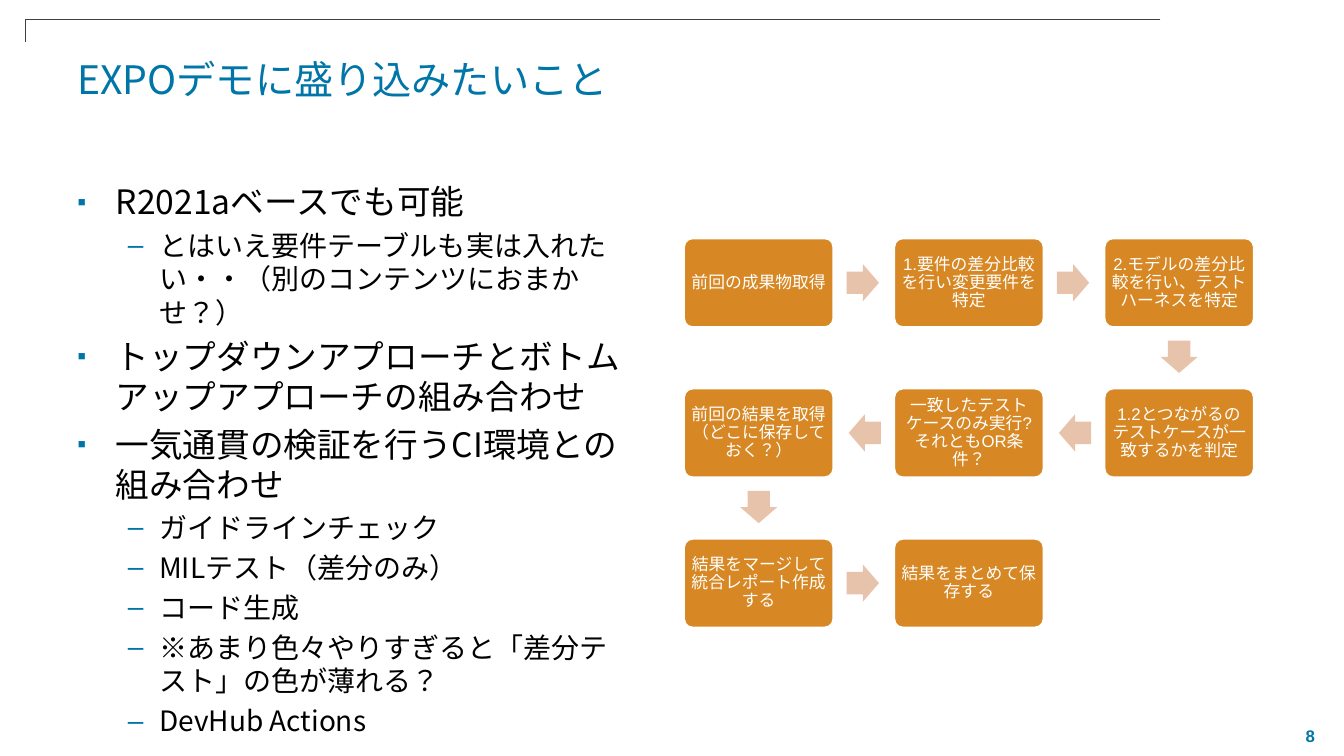
"""Build the slide on what the EXPO demo should contain."""
import lxml.etree
import pptx
import pptx.dml.color
import pptx.enum.lang
import pptx.enum.shapes
import pptx.enum.text
import pptx.oxml.ns
import pptx.util

BLUE = pptx.dml.color.RGBColor(0x00, 0x76, 0xA8)
ORANGE = pptx.dml.color.RGBColor(0xD7, 0x88, 0x24)
PEACH = pptx.dml.color.RGBColor(0xE8, 0xC3, 0xAC)
WHITE = pptx.dml.color.RGBColor(0xFF, 0xFF, 0xFF)
BLACK = pptx.dml.color.RGBColor(0x00, 0x00, 0x00)
GRAY = pptx.dml.color.RGBColor(0x40, 0x40, 0x40)

SANS = "Noto Sans CJK JP"
ARIAL = "Arial"
TITLE = "EXPOデモに盛り込みたいこと"
PAGE_NUMBER = "8"
BULLETS = [
    (0, "R2021aベースでも可能"),
    (1, "とはいえ要件テーブルも実は入れたい・・（別のコンテンツにおまかせ？）"),
    (0, "トップダウンアプローチとボトムアップアプローチの組み合わせ"),
    (0, "一気通貫の検証を行うCI環境との組み合わせ"),
    (1, "ガイドラインチェック"),
    (1, "MILテスト（差分のみ）"),
    (1, "コード生成"),
    (1, "※あまり色々やりすぎると「差分テスト」の色が薄れる？"),
    (1, "DevHub Actions"),
]
LEVELS = [
    {"size": 24, "before": 5, "margin": 38, "hang": 38, "mark": "▪", "mark_size": 75},
    {"size": 20, "before": 4.5, "margin": 81, "hang": 31, "mark": "–", "mark_size": 100},
]
STEPS = [
    "前回の成果物取得",
    "1.要件の差分比較を行い変更要件を特定",
    "2.モデルの差分比較を行い、テストハーネスを特定",
    "1.2とつながるのテストケースが一致するかを判定",
    "一致したテストケースのみ実行?それともOR条件？",
    "前回の結果を取得（どこに保存しておく？）",
    "結果をマージして統合レポート作成する",
    "結果をまとめて保存する",
]

PX = 9144
SLIDE_SIZE = (1333, 750)
TITLE_BOX = (67, 50, 1178, 108)
BODY_BOX = (67, 175, 567, 508)
PAGE_BOX = (1266, 709, 67, 42)
CORNER_LINE = [(1151, 19), (25, 19), (25, 42)]
FLOW_LEFT, FLOW_TOP, FLOW_SPAN = 678, 236, 417
COLUMNS = 3
COLUMN_PITCH, ROW_PITCH = FLOW_SPAN / (COLUMNS - 1), 149
STEP_WIDTH, STEP_HEIGHT, STEP_INSET = 149, 89, 5
ARROW_WIDTH, ARROW_HEIGHT = 32, 37
ROTATIONS = {(1, 0): 0, (0, 1): 90, (-1, 0): 180}


def emu(*lengths):
    return [round(length * PX) for length in lengths]


def apply(target, values):
    for name, value in values.items():
        setattr(target, name, value)


def write(paragraph, text, size, font_name, color, bold=False, **formats):
    run = paragraph.add_run()
    run.text = text
    apply(run.font, {"size": pptx.util.Pt(size), "name": font_name, "bold": bold,
                     "language_id": pptx.enum.lang.MSO_LANGUAGE_ID.JAPANESE})
    run.font.color.rgb = color
    east_asian = lxml.etree.SubElement(run.font._element, pptx.oxml.ns.qn("a:ea"))
    east_asian.set("typeface", font_name)
    apply(paragraph, formats)


def add_text_frame(slide, box, **formats):
    frame = slide.shapes.add_textbox(*emu(*box)).text_frame
    apply(frame, {"word_wrap": True, **formats})
    return frame


def add_bullet(paragraph, level):
    properties = paragraph._p.get_or_add_pPr()
    margin, hang = emu(level["margin"], level["hang"])
    properties.set("marL", str(margin))
    properties.set("indent", str(-hang))
    color = lxml.etree.SubElement(properties, pptx.oxml.ns.qn("a:buClr"))
    for parent, tag, key, value in (
        (color, "a:srgbClr", "val", str(BLUE)),
        (properties, "a:buSzPct", "val", str(level["mark_size"] * 1000)),
        (properties, "a:buFont", "typeface", ARIAL),
        (properties, "a:buChar", "char", level["mark"]),
    ):
        lxml.etree.SubElement(parent, pptx.oxml.ns.qn(tag)).set(key, value)


def add_filled(slide, kind, box, color, adjustments):
    shape = slide.shapes.add_shape(kind, *emu(*box))
    shape.shadow.inherit = False
    shape.fill.solid()
    shape.fill.fore_color.rgb = color
    shape.line.fill.background()
    for index, value in enumerate(adjustments):
        shape.adjustments[index] = value
    return shape


def add_step(slide, text, column, row):
    box = (FLOW_LEFT + column * COLUMN_PITCH, FLOW_TOP + row * ROW_PITCH, STEP_WIDTH, STEP_HEIGHT)
    shape = add_filled(slide, pptx.enum.shapes.MSO_SHAPE.ROUNDED_RECTANGLE, box, ORANGE, [0.1])
    shape.line.color.rgb = WHITE
    shape.line.width = pptx.util.Pt(2)
    sides = ("margin_left", "margin_top", "margin_right", "margin_bottom")
    apply(shape.text_frame, dict.fromkeys(sides, STEP_INSET * PX))
    apply(shape.text_frame, {"word_wrap": True, "vertical_anchor": pptx.enum.text.MSO_ANCHOR.MIDDLE})
    write(shape.text_frame.paragraphs[0], text, 12, ARIAL, WHITE,
          alignment=pptx.enum.text.PP_ALIGN.CENTER, line_spacing=0.9)


def add_arrow(slide, start, end):
    direction = (end[0] - start[0], end[1] - start[1])
    center_x = FLOW_LEFT + STEP_WIDTH / 2 + (start[0] + end[0]) / 2 * COLUMN_PITCH - direction[0]
    center_y = FLOW_TOP + STEP_HEIGHT / 2 + (start[1] + end[1]) / 2 * ROW_PITCH - direction[1]
    box = (center_x - ARROW_WIDTH / 2, center_y - ARROW_HEIGHT / 2, ARROW_WIDTH, ARROW_HEIGHT)
    arrow = add_filled(slide, pptx.enum.shapes.MSO_SHAPE.RIGHT_ARROW, box, PEACH, [0.6, 0.5])
    arrow.rotation = ROTATIONS[direction]


def add_corner_line(slide):
    builder = slide.shapes.build_freeform(*CORNER_LINE[0], scale=PX)
    builder.add_line_segments(CORNER_LINE[1:], close=False)
    corner = builder.convert_to_shape()
    corner.shadow.inherit = False
    corner.fill.background()
    corner.line.color.rgb = GRAY
    corner.line.width = pptx.util.Pt(0.5)


def main():
    presentation = pptx.Presentation()
    width, height = emu(*SLIDE_SIZE)
    apply(presentation, {"slide_width": width, "slide_height": height})
    slide = presentation.slides.add_slide(presentation.slide_layouts[6])

    add_corner_line(slide)
    page = add_text_frame(slide, PAGE_BOX, vertical_anchor=pptx.enum.text.MSO_ANCHOR.MIDDLE)
    write(page.paragraphs[0], PAGE_NUMBER, 12, ARIAL, BLUE, bold=True,
          alignment=pptx.enum.text.PP_ALIGN.CENTER)
    write(add_text_frame(slide, TITLE_BOX).paragraphs[0], TITLE, 28, SANS, BLUE)

    body = add_text_frame(slide, BODY_BOX)
    for index, (depth, text) in enumerate(BULLETS):
        paragraph = body.add_paragraph() if index else body.paragraphs[0]
        level = LEVELS[depth]
        write(paragraph, text, level["size"], SANS, BLACK, level=depth,
              space_before=pptx.util.Pt(level["before"]))
        add_bullet(paragraph, level)

    cells = []
    for index, text in enumerate(STEPS):
        row, offset = divmod(index, COLUMNS)
        cells.append((COLUMNS - 1 - offset if row % 2 else offset, row))
        add_step(slide, text, *cells[-1])
    for start, end in zip(cells, cells[1:]):
        add_arrow(slide, start, end)

    presentation.save("out.pptx")


if __name__ == "__main__":
    main()
